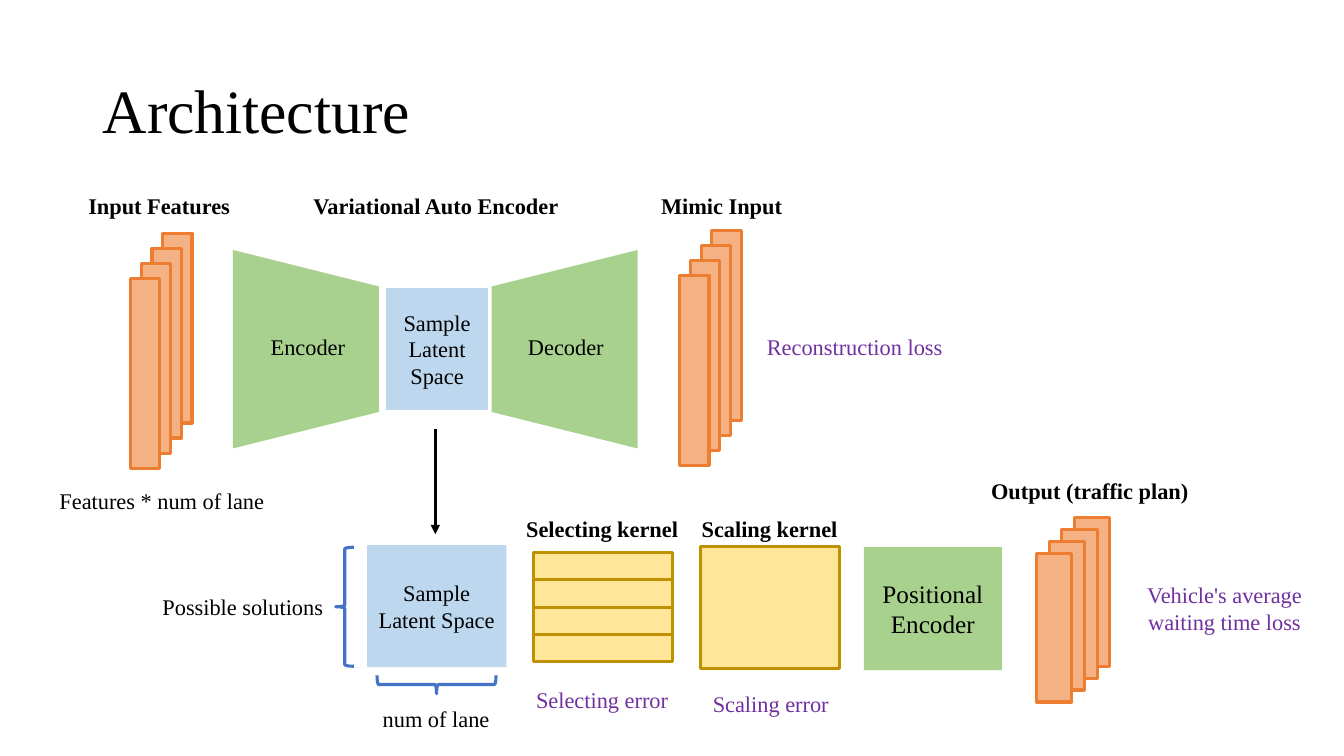
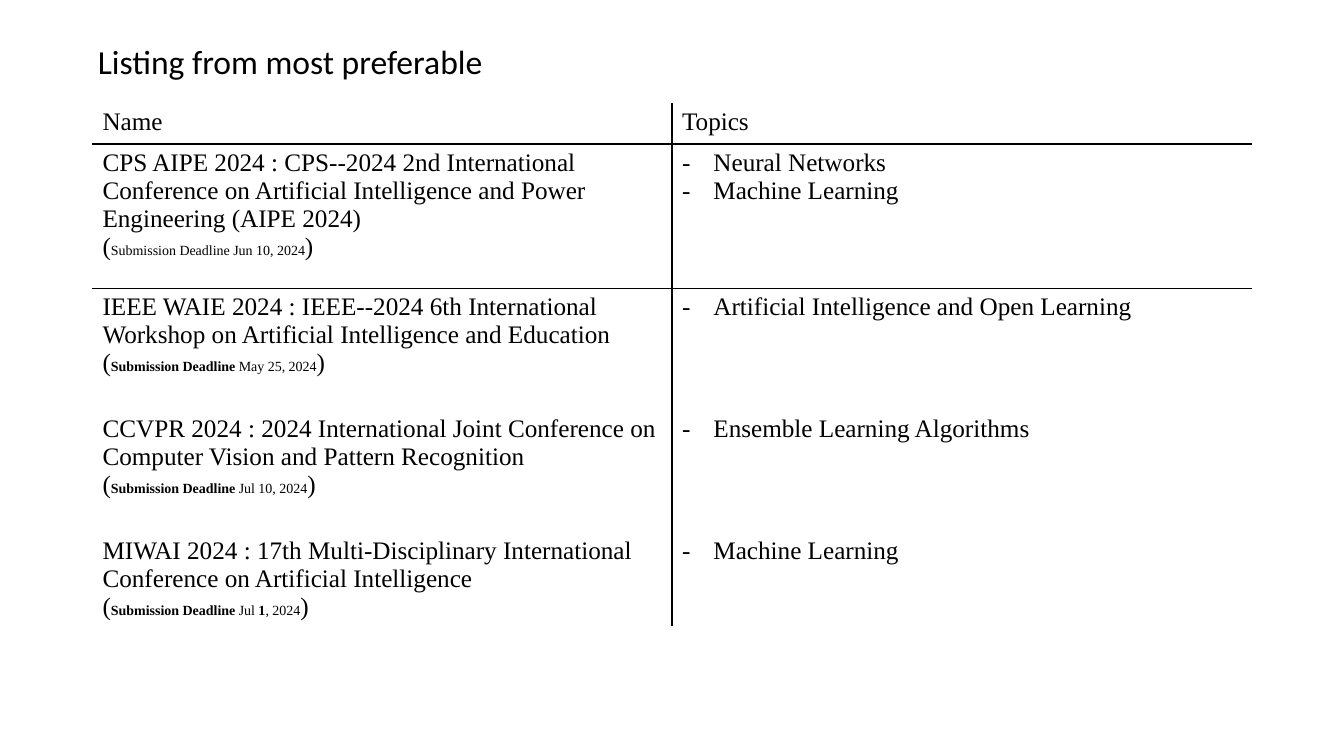
from dataclasses import dataclass

from lxml import etree
from pptx import Presentation
from pptx.dml.color import RGBColor
from pptx.enum.shapes import MSO_CONNECTOR, MSO_SHAPE
from pptx.enum.text import MSO_ANCHOR, MSO_AUTO_SIZE, PP_ALIGN
from pptx.oxml.ns import qn
from pptx.util import Cm, Pt

RECT, TRAPEZOID = MSO_SHAPE.RECTANGLE, MSO_SHAPE.TRAPEZOID
LEFT_BRACE, RIGHT_BRACE = MSO_SHAPE.LEFT_BRACE, MSO_SHAPE.RIGHT_BRACE
STRAIGHT = MSO_CONNECTOR.STRAIGHT
LEFT, CENTER = PP_ALIGN.LEFT, PP_ALIGN.CENTER
MIDDLE = MSO_ANCHOR.MIDDLE

SERIF, SANS = "Times New Roman", "Calibri"
BLACK, PURPLE, BLUE = "000000", "7030A0", "4472C4"
GREEN, LIGHT_BLUE = "A9D18E", "BDD7EE"
ORANGE, DARK_ORANGE = "F4B183", "ED7D31"
YELLOW, GOLD = "FFE699", "BF9000"
LINE_WIDTH = 2.25
TITLE_ONLY = 5


# Lengths in every record are centimetres
@dataclass
class Label:
    text: str
    x: float
    y: float
    w: float
    h: float = 0.94
    color: str = BLACK
    bold: bool = False


@dataclass
class Block:
    x: float
    y: float
    w: float
    h: float
    fill: str | None = None
    line: str | None = None
    text: str = ""
    size: int = 16
    kind: int = RECT
    rotation: int = 0


@dataclass
class Stack:
    x: float
    y: float
    w: float
    h: float
    dx: float
    dy: float
    count: int = 4


@dataclass
class Conference:
    name: str
    deadline: list[tuple[str, bool]]
    topics: list[str]
    height: float


LABELS = [
    Label("Input Features", 1.89, 4.72, 4.24, bold=True),
    Label("Variational Auto Encoder", 7.52, 4.72, 6.93, bold=True),
    Label("Mimic Input", 16.28, 4.72, 3.81, bold=True),
    Label("Features * num of lane", 1.12, 12.14, 5.92),
    Label("Encoder", 6.12, 8.28, 3.28),
    Label("Decoder", 12.62, 8.28, 3.28),
    Label("Reconstruction loss", 18.95, 8.28, 5.18, color=PURPLE),
    Label("Possible solutions", 3.81, 14.83, 4.62),
    Label("num of lane", 9.25, 17.65, 3.48),
    Label("Selecting kernel", 12.95, 12.85, 4.45, bold=True),
    Label("Scaling kernel", 17.4, 12.85, 3.99, bold=True),
    Label("Selecting error", 13.23, 17.17, 3.89, color=PURPLE),
    Label("Scaling error", 17.48, 17.27, 3.89, color=PURPLE),
    Label("Output (traffic plan)", 24.71, 11.91, 5.51, bold=True),
    Label("Vehicle's average waiting time loss", 28.4, 14.53, 4.92, 1.63, PURPLE),
]

BLOCKS = [
    # Autoencoder
    Block(5.21, 6.96, 5, 3.68, GREEN, kind=TRAPEZOID, rotation=90),
    Block(9.73, 7.26, 2.57, 3.07, LIGHT_BLUE, text="Sample\nLatent Space"),
    Block(11.73, 6.96, 5, 3.68, GREEN, kind=TRAPEZOID, rotation=270),
    # Sampled solutions and their braces
    Block(9.25, 13.74, 3.51, 3.07, LIGHT_BLUE, text="Sample\nLatent Space"),
    Block(8.46, 13.79, 0.46, 3, line=BLUE, kind=LEFT_BRACE),
    Block(10.77, 15.75, 0.46, 3, line=BLUE, kind=RIGHT_BRACE, rotation=90),
    # Kernels and positional encoder
    Block(17.65, 13.77, 3.51, 3.07, YELLOW, GOLD),
    Block(21.77, 13.79, 3.48, 3.1, GREEN, text="Positional Encoder", size=18),
]

# Back layer first, each next one shifted by dx, dy
STACKS = [
    Stack(4.1, 5.88, 0.74, 4.78, -0.27, 0.38),
    Stack(17.94, 5.81, 0.74, 4.78, -0.27, 0.38),
    Stack(27.08, 13.05, 0.89, 3.74, -0.32, 0.3),
]

KERNEL_ROW = Block(13.44, 13.92, 3.51, 0.69, YELLOW, GOLD)
KERNEL_ROWS = 4

CONFERENCES = [
    Conference("CPS AIPE 2024 : CPS--2024 2nd International Conference on "
               "Artificial Intelligence and Power Engineering (AIPE 2024)",
               [("Submission Deadline Jun 10, 2024", False)],
               ["Neural Networks", "Machine Learning"], 3.63),
    Conference("IEEE WAIE 2024 : IEEE--2024 6th International Workshop on "
               "Artificial Intelligence and Education",
               [("Submission Deadline ", True), ("May 25, 2024", False)],
               ["Artificial Intelligence and Open Learning"], 3.07),
    Conference("CCVPR 2024 : 2024 International Joint Conference on "
               "Computer Vision and Pattern Recognition",
               [("Submission Deadline ", True), ("Jul 10, 2024", False)],
               ["Ensemble Learning Algorithms"], 3.07),
    Conference("MIWAI 2024 : 17th Multi-Disciplinary International "
               "Conference on Artificial Intelligence",
               [("Submission Deadline ", True), ("Jul", False),
                (" 1", True), (", 2024", False)],
               ["Machine Learning"], 2.36),
]


def rgb(color: str) -> RGBColor:
    return RGBColor.from_string(color)


def style_run(r, size: float, color: str = BLACK, bold: bool = False,
              font: str = SERIF) -> None:
    r.font.name = font
    r.font.size = Pt(size)
    r.font.bold = bold
    r.font.color.rgb = rgb(color)


def style_text(tf, size: float, color: str = BLACK, bold: bool = False,
               font: str = SERIF, align: int = CENTER) -> None:
    for p in tf.paragraphs:
        p.alignment = align
        for r in p.runs:
            style_run(r, size, color, bold, font)


def add_title(s, text: str, box: tuple[float, float, float, float],
              size: float, font: str) -> None:
    sp = s.shapes.title
    sp.left, sp.top, sp.width, sp.height = (Cm(v) for v in box)
    tf = sp.text_frame
    tf.text = text
    tf.auto_size = MSO_AUTO_SIZE.NONE
    tf.vertical_anchor = MIDDLE
    tf.paragraphs[0].line_spacing = 0.9
    style_text(tf, size, font=font, align=LEFT)


def add_label(s, label: Label) -> None:
    sp = s.shapes.add_textbox(Cm(label.x), Cm(label.y), Cm(label.w), Cm(label.h))
    tf = sp.text_frame
    tf.word_wrap = True
    tf.margin_left = tf.margin_right = 0
    tf.text = label.text
    style_text(tf, 16, label.color, label.bold)


def add_block(s, block: Block, dx: float = 0, dy: float = 0) -> None:
    sp = s.shapes.add_shape(block.kind, Cm(block.x + dx), Cm(block.y + dy),
                            Cm(block.w), Cm(block.h))
    sp.shadow.inherit = False
    sp.rotation = block.rotation
    if block.fill:
        sp.fill.solid()
        sp.fill.fore_color.rgb = rgb(block.fill)
    else:
        sp.fill.background()
    if block.line:
        sp.line.color.rgb = rgb(block.line)
        sp.line.width = Pt(LINE_WIDTH)
    else:
        sp.line.fill.background()
    if block.text:
        tf = sp.text_frame
        tf.word_wrap = True
        tf.vertical_anchor = MIDDLE
        tf.text = block.text
        style_text(tf, block.size)


def add_stack(s, stack: Stack) -> None:
    layer = Block(stack.x, stack.y, stack.w, stack.h, ORANGE, DARK_ORANGE)
    for i in range(stack.count):
        add_block(s, layer, i * stack.dx, i * stack.dy)


def add_arrow(s, x1: float, y1: float, x2: float, y2: float) -> None:
    line = s.shapes.add_connector(STRAIGHT, Cm(x1), Cm(y1), Cm(x2), Cm(y2))
    line.line.color.rgb = rgb(BLACK)
    line.line.width = Pt(LINE_WIDTH)
    etree.SubElement(line.line._get_or_add_ln(), qn("a:tailEnd"), type="triangle")
    etree.SubElement(line._element.spPr, qn("a:effectLst"))


def set_borders(cell, sides: str) -> None:
    """Draw the named sides (from L, R, T, B) and clear the others."""
    props = cell._tc.get_or_add_tcPr()
    for i, side in enumerate("LRTB"):
        ln = etree.Element(qn(f"a:ln{side}"), w=str(Pt(1)))
        if side in sides:
            fill = etree.SubElement(ln, qn("a:solidFill"))
            etree.SubElement(fill, qn("a:srgbClr"), val=BLACK)
        else:
            etree.SubElement(ln, qn("a:noFill"))
        props.insert(i, ln)


def fill_name(cell, conference: Conference) -> None:
    tf = cell.text_frame
    tf.text = conference.name
    style_text(tf, 18, align=LEFT)
    p = tf.add_paragraph()
    deadline = [(text, 10, bold) for text, bold in conference.deadline]
    for text, size, bold in [("(", 18, False), *deadline, (")", 18, False)]:
        r = p.add_run()
        r.text = text
        style_run(r, size, bold=bold)


def fill_topics(cell, topics: list[str]) -> None:
    tf = cell.text_frame
    tf.text = "\n".join(topics)
    for p in tf.paragraphs:
        props = p._p.get_or_add_pPr()
        props.set("marL", str(Cm(0.79)))
        props.set("indent", str(Cm(-0.79)))
        etree.SubElement(props, qn("a:buFont"), typeface=SERIF)
        etree.SubElement(props, qn("a:buChar"), char="-")
    style_text(tf, 18, align=LEFT)


def build_architecture(prs) -> None:
    s = prs.slides.add_slide(prs.slide_layouts[TITLE_ONLY])
    add_title(s, "Architecture", (2.33, 1.02, 29.21, 3.68), 44, SERIF)
    for stack in STACKS:
        add_stack(s, stack)
    for block in BLOCKS:
        add_block(s, block)
    for i in range(KERNEL_ROWS):
        add_block(s, KERNEL_ROW, dy=i * KERNEL_ROW.h)
    add_arrow(s, 10.97, 10.82, 10.97, 13.46)
    for label in LABELS:
        add_label(s, label)


def build_conferences(prs) -> None:
    s = prs.slides.add_slide(prs.slide_layouts[TITLE_ONLY])
    add_title(s, "Listing from most preferable", (2.21, 0.97, 18.11, 1.27), 24, SANS)
    heights = [1.04] + [c.height for c in CONFERENCES]
    table = s.shapes.add_table(len(heights), 2, Cm(2.33), Cm(2.59),
                               Cm(29.21), Cm(sum(heights))).table
    table.first_row = table.horz_banding = False
    for row, height in zip(table.rows, heights):
        row.height = Cm(height)
    # Header and conference rows
    for col, heading in enumerate(("Name", "Topics")):
        tf = table.cell(0, col).text_frame
        tf.text = heading
        style_text(tf, 18, align=LEFT)
    for row, conference in enumerate(CONFERENCES, 1):
        fill_name(table.cell(row, 0), conference)
        fill_topics(table.cell(row, 1), conference.topics)
    # Rules: one between the columns, one below each of the first two rows
    for row in range(len(heights)):
        across = ("T" if row in (1, 2) else "") + ("B" if row in (0, 1) else "")
        for col, side in enumerate("RL"):
            cell = table.cell(row, col)
            cell.fill.background()
            set_borders(cell, side + across)


def main() -> None:
    prs = Presentation()
    prs.slide_width, prs.slide_height = Cm(33.87), Cm(19.05)
    build_architecture(prs)
    build_conferences(prs)
    prs.save("out.pptx")


if __name__ == "__main__":
    main()
